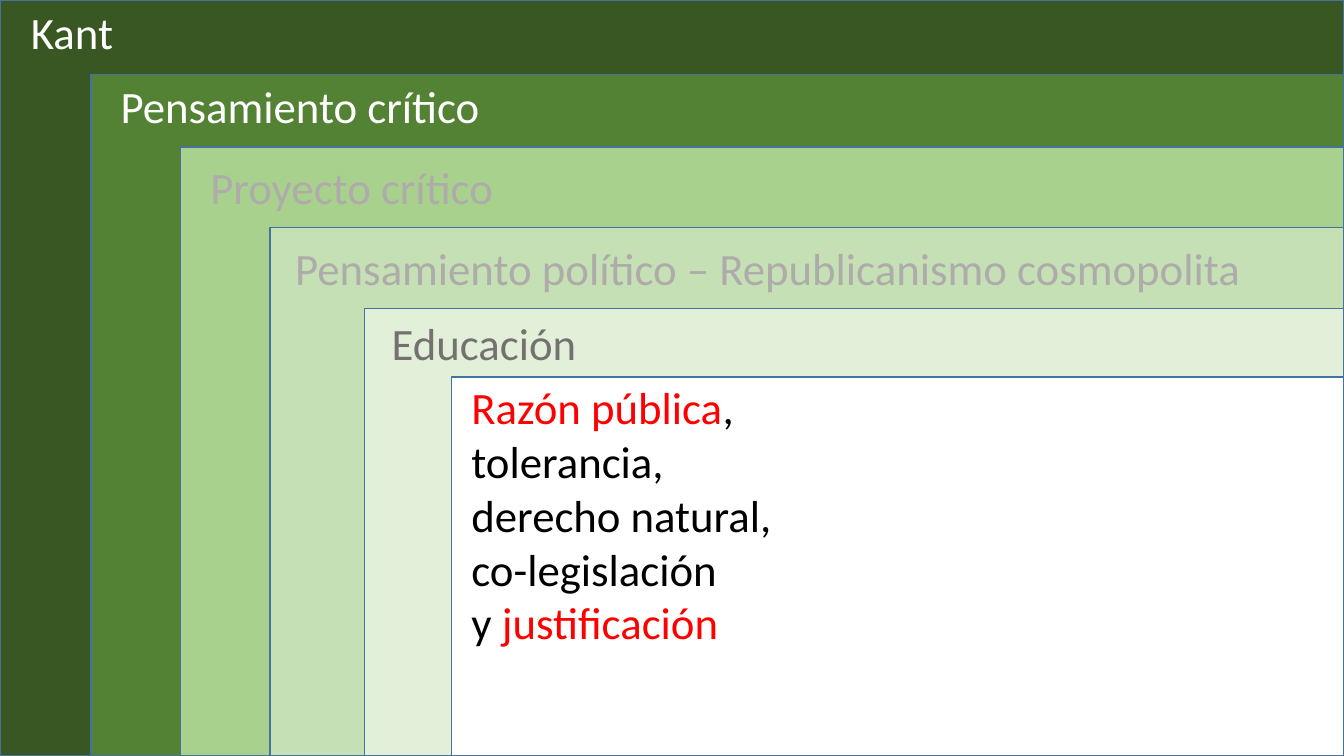
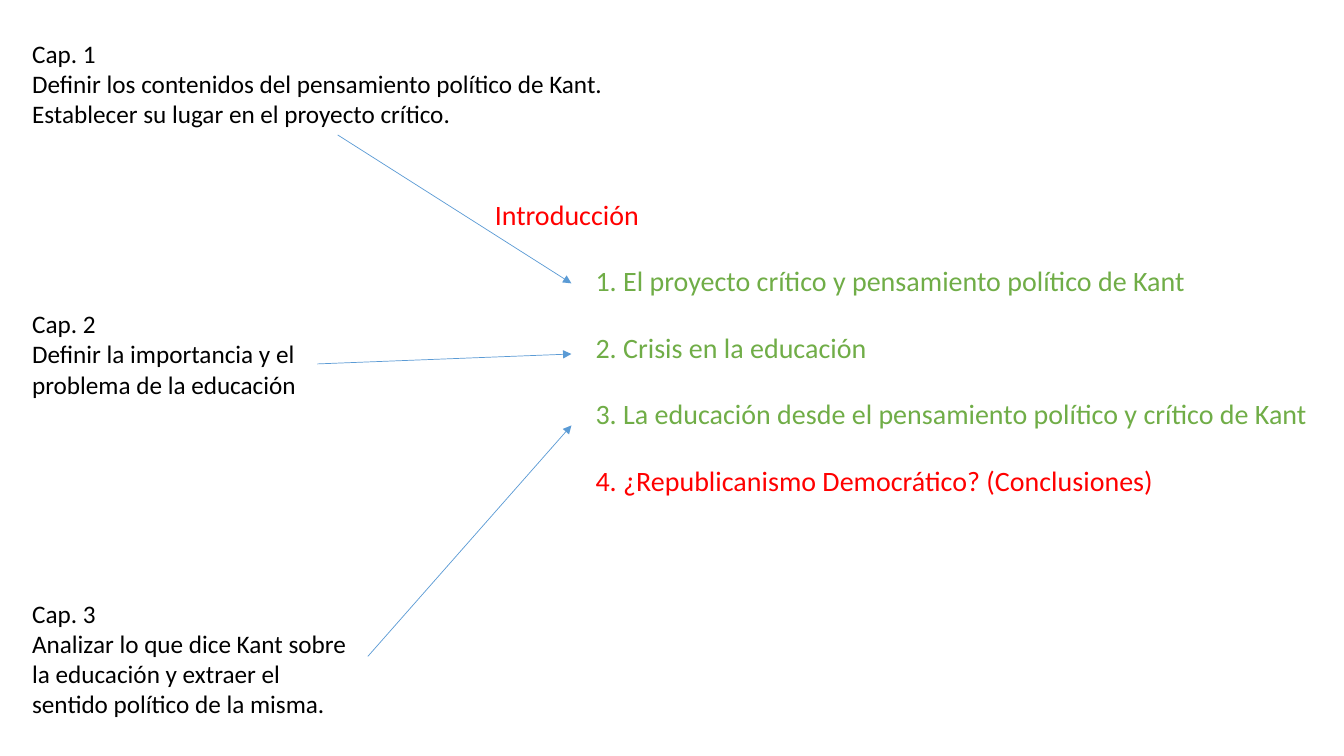
from lxml import etree
from pptx import Presentation
from pptx.dml.color import RGBColor
from pptx.enum.shapes import MSO_CONNECTOR, MSO_SHAPE
from pptx.enum.text import MSO_AUTO_SIZE
from pptx.oxml.ns import qn
from pptx.util import Cm, Pt

RECTANGLE = MSO_SHAPE.RECTANGLE
STRAIGHT = MSO_CONNECTOR.STRAIGHT
FIT_SHAPE = MSO_AUTO_SIZE.SHAPE_TO_FIT_TEXT

# Shared style
WIDTH, HEIGHT = 33.87, 19.05
FONT = "Calibri"
BLACK, WHITE, RED, GREEN = "000000", "FFFFFF", "FF0000", "70AD47"
PALE_GREY, DARK_GREY = "AFABAB", "767171"
OUTLINE, ARROW = "43739E", "5B9BD5"

# Nested panels: left, top, fill, label offset, label lines of (text, colour) runs
PANELS = [
    (0, 0, "385723", (0.53, 0), [[("Kant", WHITE)]]),
    (2.29, 1.88, "548235", (0.5, -0.03), [[("Pensamiento crítico", WHITE)]]),
    (4.55, 3.71, "A9D18E", (0.5, 0.18), [[("Proyecto crítico", PALE_GREY)]]),
    (6.81, 5.74, "C5E0B4", (0.38, 0.2),
     [[("Pensamiento político – Republicanismo cosmopolita", PALE_GREY)]]),
    (9.19, 7.77, "E2F0D9", (0.43, 0.05), [[("Educación", DARK_GREY)]]),
    (11.38, 9.5, WHITE, (0.25, -0.05), [
        [("Razón pública", RED), (",", BLACK)],
        [("tolerancia,", BLACK)],
        [("derecho natural,", BLACK)],
        [("co-legislación", BLACK)],
        [("y ", BLACK), ("justificación", RED)],
    ]),
]

CONTENTS = [
    ("Introducción", RED),
    ("1. El proyecto crítico y pensamiento político de Kant", GREEN),
    ("2. Crisis en la educación", GREEN),
    ("3. La educación desde el pensamiento político y crítico de Kant", GREEN),
    ("4. ¿Republicanismo Democrático? (Conclusiones)", RED),
]

# Chapter notes: top, width, height, lines, arrow start, arrow end height
CHAPTERS = [
    (0.84, 15.9, 2.57,
     ["Cap. 1", "Definir los contenidos del pensamiento político de Kant.",
      "Establecer su lugar en el proyecto crítico."], (8.51, 3.4), 7.14),
    (7.65, 8.08, 2.57,
     ["Cap. 2", "Definir la importancia y el problema de la educación"],
     (8, 9.17), 8.92),
    (14.94, 8.79, 4.11,
     ["Cap. 3", "Analizar lo que dice Kant sobre la educación y extraer "
      "el sentido político de la misma."], (9.27, 16.54), 10.72),
]


def colour(value):
    return RGBColor.from_string(value)


def add_text(slide, box, lines, size, space_before=0, indent=0):
    """Write lines of (text, colour) runs; spacing and indent skip the first."""
    shape = slide.shapes.add_textbox(*(Cm(length) for length in box))
    frame = shape.text_frame
    frame.word_wrap = True
    frame.auto_size = FIT_SHAPE
    for number, runs in enumerate(lines):
        paragraph = frame.add_paragraph() if number else frame.paragraphs[0]
        if number and space_before:
            paragraph.space_before = Pt(space_before)
        if number and indent:
            paragraph._p.get_or_add_pPr().set("marL", str(Cm(indent)))
        for text, text_colour in runs:
            run = paragraph.add_run()
            run.text = text
            run.font.name = FONT
            run.font.size = Pt(size)
            run.font.color.rgb = colour(text_colour)
    return shape


def add_panel(slide, left, top, fill, label_offset, label):
    """Panel reaching the right and bottom slide edges, with its label."""
    width, height = WIDTH - left, HEIGHT - top
    shape = slide.shapes.add_shape(
        RECTANGLE, Cm(left), Cm(top), Cm(width), Cm(height))
    shape.shadow.inherit = False
    shape.fill.solid()
    shape.fill.fore_color.rgb = colour(fill)
    shape.line.color.rgb = colour(OUTLINE)
    shape.line.width = Pt(1)
    offset_x, offset_y = label_offset
    box = (left + offset_x, top + offset_y, width - offset_x, 1.62 * len(label))
    add_text(slide, box, label, size=32)


def add_arrow(slide, start, end):
    connector = slide.shapes.add_connector(
        STRAIGHT, *(Cm(length) for length in (*start, *end)))
    connector.line.color.rgb = colour(ARROW)
    connector.line.width = Pt(0.5)
    etree.SubElement(connector.line._get_or_add_ln(), qn("a:tailEnd"),
                     type="triangle")
    etree.SubElement(connector._element.spPr, qn("a:effectLst"))


def add_contents(slide, left, top):
    lines = [[entry] for entry in CONTENTS]
    add_text(slide, (left, top, WIDTH - left, 8.8), lines, size=20,
             space_before=23.5, indent=2.54)


def add_chapter(slide, left, arrow_end_x, chapter):
    top, width, height, lines, arrow_start, arrow_end_y = chapter
    add_text(slide, (left, top, width, height),
             [[(line, BLACK)] for line in lines], size=18)
    add_arrow(slide, arrow_start, (arrow_end_x, arrow_end_y))


def build_panels_slide(slide):
    for panel in PANELS:
        add_panel(slide, *panel)


def build_outline_slide(slide):
    add_contents(slide, 12.22, 4.85)
    for chapter in CHAPTERS:
        add_chapter(slide, 0.56, 14.4, chapter)


def main():
    presentation = Presentation()
    presentation.slide_width = Cm(WIDTH)
    presentation.slide_height = Cm(HEIGHT)
    blank = presentation.slide_layouts[6]
    for build in (build_panels_slide, build_outline_slide):
        build(presentation.slides.add_slide(blank))
    presentation.save("out.pptx")


if __name__ == "__main__":
    main()
